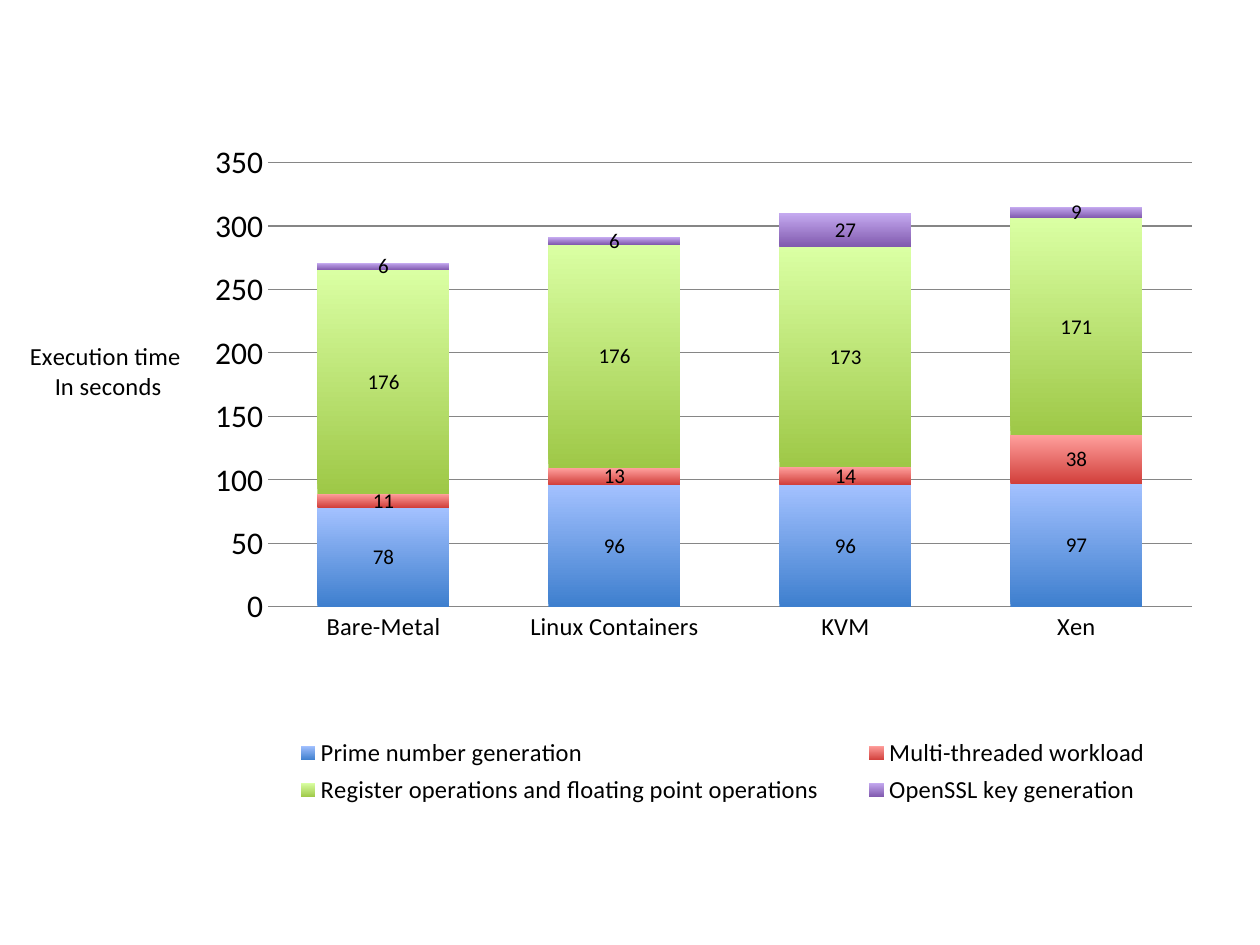
import dataclasses

import lxml.etree
import pptx
import pptx.chart.data
import pptx.dml.color
import pptx.enum.chart
import pptx.enum.text
import pptx.oxml.ns
import pptx.util


@dataclasses.dataclass(frozen=True)
class Theme:
    font: str = "Calibri"
    text: str = "000000"
    grid: str = "868686"
    scale_size: int = 18
    caption_size: int = 14
    label_size: int = 12
    # Bottom and top colour of each series
    gradients: tuple = (
        ("3E7FCE", "A3C1FF"),
        ("D13F3B", "FF9F9C"),
        ("9EC847", "DAFFA3"),
        ("7F58AD", "C5AAF0"),
    )


THEME = Theme()
SLIDE_WIDTH, SLIDE_HEIGHT = 10, 7.5
CHART_BOX = (0.011, 0.031, 0.97, 0.952)  # shares of the slide

SYSTEMS = ("Bare-Metal", "Linux Containers", "KVM", "Xen")
TIMES = {
    "Prime number generation": (78, 96, 96, 97),
    "Multi-threaded workload": (11, 13, 14, 38),
    "Register operations and floating point operations": (176, 176, 173, 171),
    "OpenSSL key generation": (6, 6, 27, 9),
}


def colour(code):
    return pptx.dml.color.RGBColor.from_string(code)


def style_font(font, size):
    font.name = THEME.font
    font.size = pptx.util.Pt(size)
    font.bold = False
    font.color.rgb = colour(THEME.text)


def set_layout(element, index, inner=False, **shares):
    """Place a chart part by shares of the chart area, as child number index."""
    tag = pptx.oxml.ns.qn
    for old in element.findall(tag("c:layout")):
        element.remove(old)
    layout = lxml.etree.Element(tag("c:layout"))
    manual = lxml.etree.SubElement(layout, tag("c:manualLayout"))
    settings = {"layoutTarget": "inner"} if inner else {}
    settings.update({f"{name}Mode": "edge" for name in ("x", "y")})
    settings.update(shares)
    for name, value in settings.items():
        lxml.etree.SubElement(manual, tag(f"c:{name}")).set("val", str(value))
    element.insert(index, layout)


def style_series(series, gradient):
    fill = series.format.fill
    fill.gradient()
    fill.gradient_angle = 90
    for stop, code in zip(fill.gradient_stops, gradient):
        stop.color.rgb = colour(code)
    labels = series.data_labels
    labels.show_value = True
    style_font(labels.font, THEME.label_size)


def style_axes(chart):
    tick_none = pptx.enum.chart.XL_TICK_MARK.NONE
    systems, seconds = chart.category_axis, chart.value_axis
    for axis, size in ((systems, THEME.caption_size), (seconds, THEME.scale_size)):
        axis.major_tick_mark = axis.minor_tick_mark = tick_none
        style_font(axis.tick_labels.font, size)
    seconds.minimum_scale, seconds.maximum_scale, seconds.major_unit = 0, 350, 50
    seconds.format.line.fill.background()
    seconds.has_major_gridlines = True
    for line in (systems.format.line, seconds.major_gridlines.format.line):
        line.color.rgb = colour(THEME.grid)
        line.width = pptx.util.Pt(0.75)


def add_axis_title(axis, lines):
    """Write a horizontal title to the left of the scale."""
    frame = axis.axis_title.text_frame
    for number, line in enumerate(lines):
        para = frame.add_paragraph() if number else frame.paragraphs[0]
        para.alignment = pptx.enum.text.PP_ALIGN.CENTER
        style_font(para.font, THEME.caption_size)
        span = para.add_run()
        span.text = line
        style_font(span.font, THEME.caption_size)
    title = axis.axis_title._element
    body = title.find(".//" + pptx.oxml.ns.qn("a:bodyPr"))
    body.set("rot", "0")
    body.set("vert", "horz")
    set_layout(title, 1, x=0.01, y=0.34)


def add_legend(chart):
    chart.has_legend = True
    legend = chart.legend
    legend.position = pptx.enum.chart.XL_LEGEND_POSITION.BOTTOM
    legend.include_in_layout = False
    style_font(legend.font, THEME.caption_size)
    set_layout(legend._element, 1, x=0.2, y=0.78, w=0.76, h=0.09)


def add_time_chart(page, box):
    left, top, width, height = (
        pptx.util.Inches(share * side)
        for share, side in zip(box, (SLIDE_WIDTH, SLIDE_HEIGHT) * 2)
    )
    data = pptx.chart.data.CategoryChartData()
    data.categories = SYSTEMS
    for name, values in TIMES.items():
        data.add_series(name, values)
    kind = pptx.enum.chart.XL_CHART_TYPE.COLUMN_STACKED
    chart = page.shapes.add_chart(kind, left, top, width, height, data).chart
    chart.has_title = False
    style_font(chart.font, THEME.scale_size)

    plot = chart.plots[0]
    plot.gap_width, plot.overlap, plot.vary_by_categories = 75, 100, False
    for series, gradient in zip(plot.series, THEME.gradients):
        style_series(series, gradient)
    style_axes(chart)
    add_axis_title(chart.value_axis, ("Execution time ", "In seconds"))
    add_legend(chart)
    plot_area = chart._chartSpace.chart.plotArea
    set_layout(plot_area, 0, inner=True, x=0.208, y=0.148, w=0.756, h=0.494)


def main():
    deck = pptx.Presentation()
    deck.slide_width = pptx.util.Inches(SLIDE_WIDTH)
    deck.slide_height = pptx.util.Inches(SLIDE_HEIGHT)
    page = deck.slides.add_slide(deck.slide_layouts[6])
    add_time_chart(page, CHART_BOX)
    deck.save("out.pptx")


if __name__ == "__main__":
    main()
